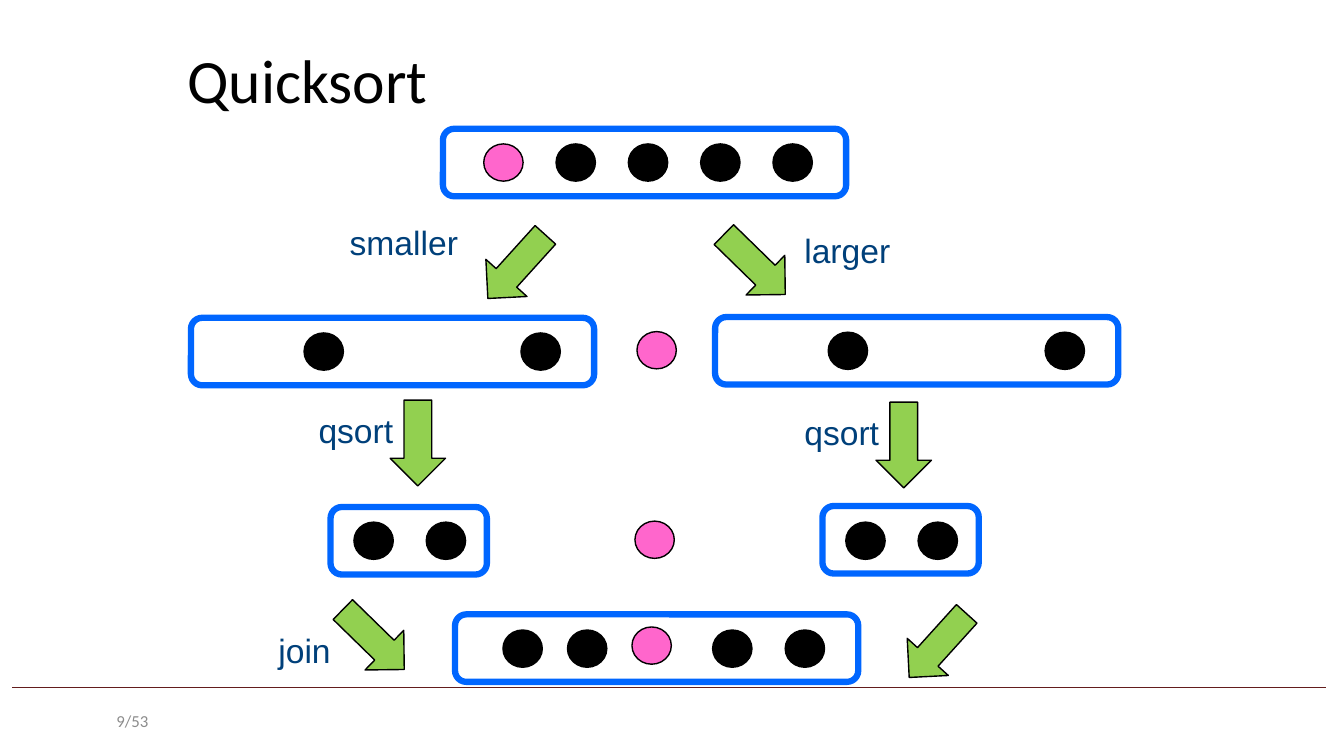
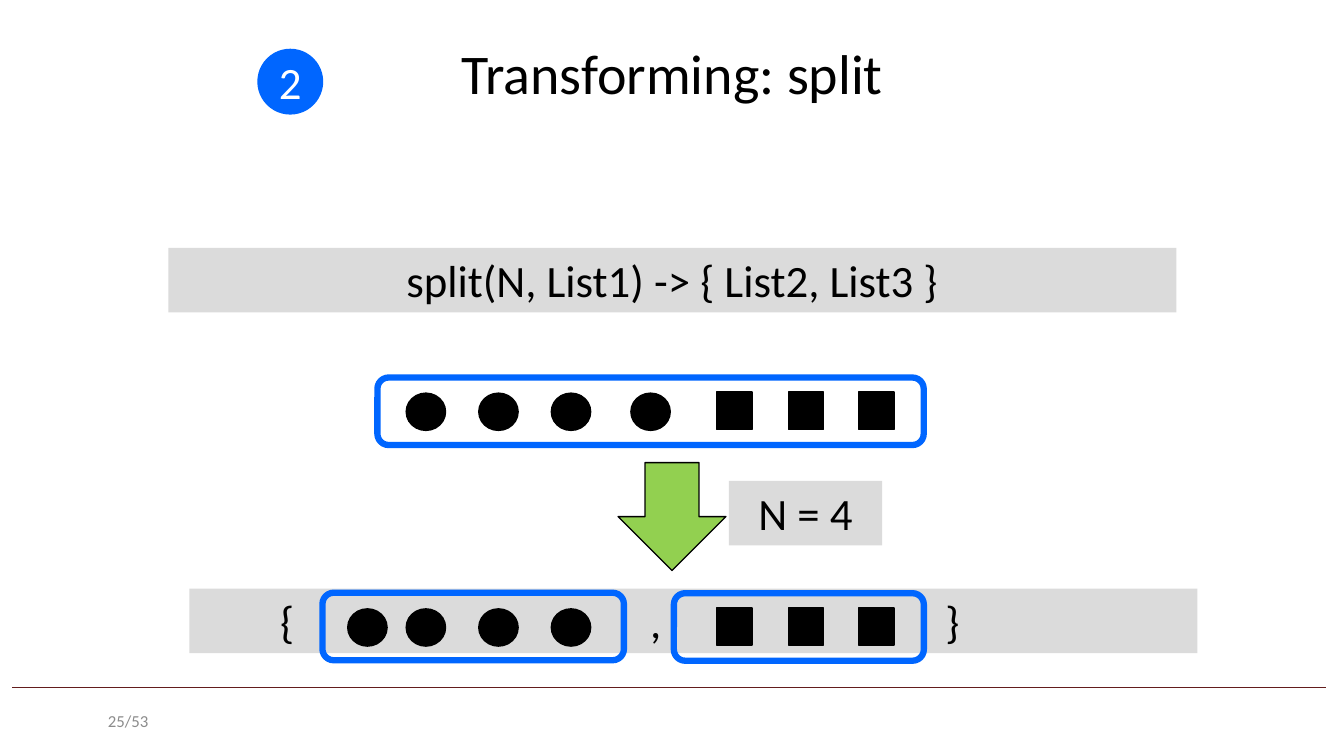
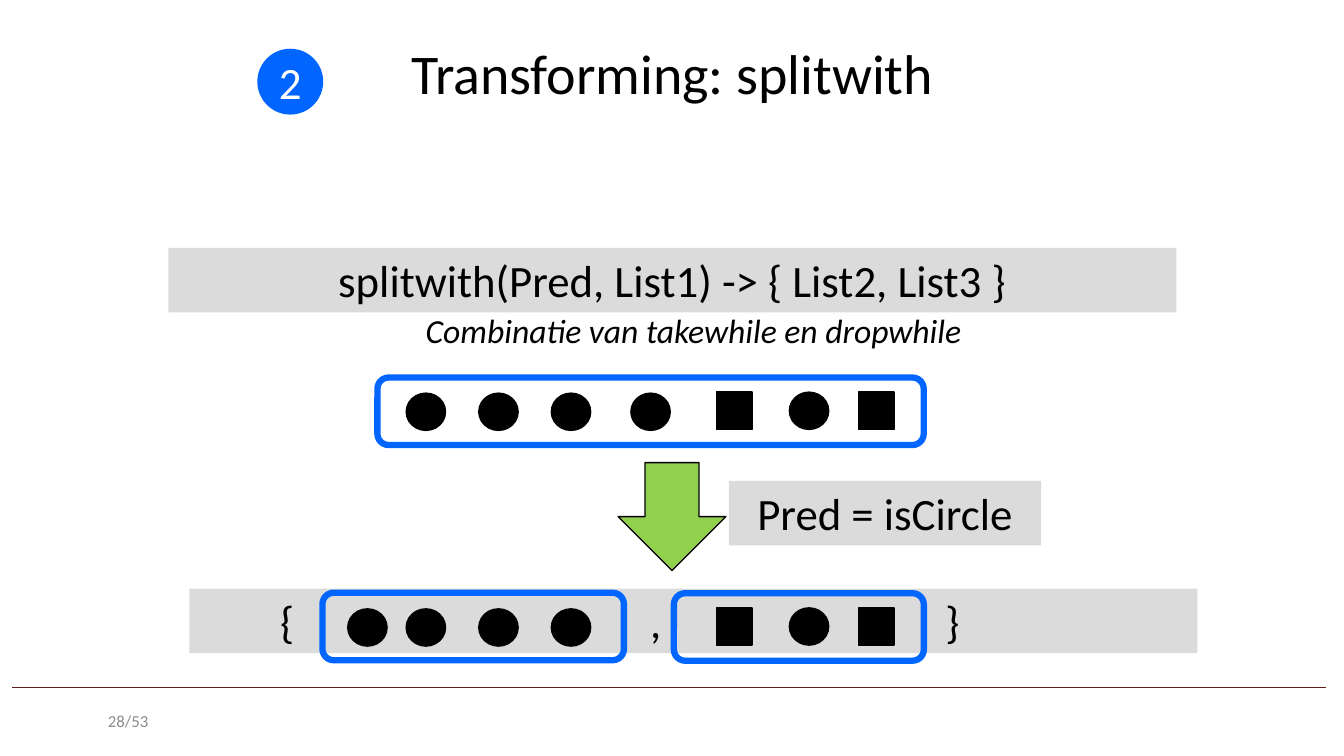
import pptx
import pptx.util
import pptx.dml.color
import pptx.enum.shapes
import pptx.enum.text
from dataclasses import dataclass
from lxml import etree

Pt = pptx.util.Pt
SHAPE = pptx.enum.shapes.MSO_SHAPE
ALIGN = pptx.enum.text.PP_ALIGN
ANCHOR = pptx.enum.text.MSO_ANCHOR


@dataclass(frozen=True)
class Theme:
    black: str = "000000"
    white: str = "FFFFFF"
    blue: str = "0066FF"
    pivot: str = "FF66CC"
    green: str = "92D050"
    bar: str = "DBDBDB"
    label: str = "00407A"
    rule: str = "631D1D"
    footer: str = "8C8C8C"
    body_font: str = "Calibri"
    label_font: str = "Arial"
    headline: int = 44
    title: int = 40
    code: int = 32
    note: int = 24
    small: int = 12
    outline: float = 1
    frame: float = 4.5
    hairline: float = 0.25


THEME = Theme()
WIDTH, HEIGHT = pptx.util.Inches(13.333), pptx.util.Inches(7.5)

# Sizes and places are percentages of the slide's width and height
ITEM_SIZE = {"circle": (2.93, 4.93), "square": (2.63, 4.93)}
ITEM_SHAPE = {"circle": SHAPE.OVAL, "square": SHAPE.RECTANGLE}
LIST_WIDTH, LIST_HEIGHT = 30, 8.93
FIRST_SLOT, SLOT_PITCH = -10.5, 5.38
ARROW = (6.38, 7.33)
DOWN, DOWN_LEFT, DOWN_RIGHT = 90, 132.1, 44.3
BAR_WIDTH, BAR_HEIGHT = 75, 8.53
LABEL_WIDTH, LABEL_HEIGHT = 8.93, 7.2


def color(code):
    return pptx.dml.color.RGBColor.from_string(code)


def frame(left, top, width, height):
    return (round(left * WIDTH / 100), round(top * HEIGHT / 100),
            round(width * WIDTH / 100), round(height * HEIGHT / 100))


def centered(x, y, size):
    return frame(x - size[0] / 2, y - size[1] / 2, *size)


def set_all(target, values):
    for key, value in values.items():
        setattr(target, key, value)


# Text
def write(holder, text, size, ink=THEME.black, font=THEME.body_font,
          align=ALIGN.CENTER, anchor=ANCHOR.TOP, italic=False,
          paragraph_format=None, frame_format=None):
    text_frame = holder.text_frame
    set_all(text_frame, {"word_wrap": True, "vertical_anchor": anchor,
                         "auto_size": pptx.enum.text.MSO_AUTO_SIZE.NONE,
                         **(frame_format or {})})
    paragraph = text_frame.paragraphs[0]
    set_all(paragraph, {"alignment": align, **(paragraph_format or {})})
    run = paragraph.add_run()
    run.text = text
    set_all(run.font, {"size": Pt(size), "name": font, "italic": italic})
    run.font.color.rgb = color(ink)
    return paragraph


def add_text(slide, place, text, size, **text_format):
    return write(slide.shapes.add_textbox(*place), text, size, **text_format)


def add_label(slide, left, top, text, align=ALIGN.RIGHT):
    margins = dict.fromkeys(
        ("margin_left", "margin_top", "margin_right", "margin_bottom"), 0)
    add_text(slide, frame(left, top, LABEL_WIDTH, LABEL_HEIGHT), text, THEME.note,
             ink=THEME.label, font=THEME.label_font, align=align,
             paragraph_format={"space_before": Pt(5.8)}, frame_format=margins)


# Shapes
def add_shape(slide, kind, place, fill=None, line=None, weight=THEME.outline, turn=0):
    shape = slide.shapes.add_shape(kind, *place)
    shape.shadow.inherit = False
    shape.rotation = turn
    if fill:
        shape.fill.solid()
        shape.fill.fore_color.rgb = color(fill)
    else:
        shape.fill.background()
    if line:
        shape.line.color.rgb = color(line)
        shape.line.width = Pt(weight)
    else:
        shape.line.fill.background()
    return shape


def add_item(slide, x, y, kind="circle", fill=THEME.black):
    add_shape(slide, ITEM_SHAPE[kind], centered(x, y, ITEM_SIZE[kind]),
              fill, THEME.black)


def add_list_frame(slide, x, y, width=LIST_WIDTH):
    add_shape(slide, SHAPE.ROUNDED_RECTANGLE, centered(x, y, (width, LIST_HEIGHT)),
              line=THEME.blue, weight=THEME.frame)


def add_slotted_list(slide, x, y, slots, pivot_slot=None):
    add_list_frame(slide, x, y)
    for slot in slots:
        add_item(slide, x + FIRST_SLOT + slot * SLOT_PITCH, y,
                 fill=THEME.pivot if slot == pivot_slot else THEME.black)


def add_arrow(slide, x, y, turn=DOWN, size=ARROW):
    add_shape(slide, SHAPE.RIGHT_ARROW, centered(x, y, size),
              THEME.green, THEME.black, turn=turn)


def add_bar(slide, left, top, text, width=BAR_WIDTH, **text_format):
    bar = add_shape(slide, SHAPE.RECTANGLE, frame(left, top, width, BAR_HEIGHT), THEME.bar)
    return write(bar, text, THEME.code, **text_format)


def set_tab_stops(paragraph, inches):
    properties = paragraph._p.get_or_add_pPr()
    tabs = etree.SubElement(properties, pptx.oxml.ns.qn("a:tabLst"))
    for stop in inches:
        etree.SubElement(tabs, pptx.oxml.ns.qn("a:tab"),
                         pos=str(pptx.util.Inches(stop)), algn="l")


# Title, rule and page number of every slide
def start_slide(deck, title, page, place, size=THEME.title, align=ALIGN.CENTER):
    slide = deck.slides.add_slide(deck.slide_layouts[5])
    heading = slide.shapes.title
    set_all(heading, dict(zip(("left", "top", "width", "height"), place)))
    write(heading, title, size, align=align, anchor=ANCHOR.MIDDLE,
          paragraph_format={"line_spacing": 0.9})

    left, top, length, _ = frame(0.9, 90.93, 97.73, 0)
    rule = slide.shapes.add_connector(pptx.enum.shapes.MSO_CONNECTOR.STRAIGHT,
                                      left, top, left + length, top)
    rule.line.color.rgb = color(THEME.rule)
    rule.line.width = Pt(THEME.hairline)
    etree.SubElement(rule._element.spPr, pptx.oxml.ns.qn("a:effectLst"))

    add_text(slide, frame(6.98, 92.67, 4.8, 5.33), f"{page}/53", THEME.small,
             ink=THEME.footer, align=ALIGN.RIGHT, anchor=ANCHOR.MIDDLE)
    return slide


def quicksort_slide(deck):
    slide = start_slide(deck, "Quicksort", 9, frame(13.2, 1.07, 67.5, 20),
                        THEME.headline, ALIGN.LEFT)

    # Partition around the pivot
    add_slotted_list(slide, 47.96, 21.5, range(5), pivot_slot=0)
    add_text(slide, frame(25.28, 29.33, 12.53, LABEL_HEIGHT), "smaller", THEME.note,
             ink=THEME.label, font=THEME.label_font, align=ALIGN.LEFT,
             paragraph_format={"line_spacing": 0.9, "space_before": Pt(10)})
    add_label(slide, 59.85, 30.4, "larger", ALIGN.LEFT)
    add_arrow(slide, 38.44, 35.27, DOWN_LEFT)
    add_arrow(slide, 56.14, 35, DOWN_RIGHT)

    # Both parts, then sorted
    for x, y in ((29.21, 46.5), (68.21, 46.4)):
        add_slotted_list(slide, x, y, (1, 4))
    for x, y in ((31.09, 58.6), (67.24, 58.87)):
        add_arrow(slide, x, y)
        add_label(slide, x - 10.76, y - 4.33, "qsort")
    for x, y in ((30.41, 71.53), (67.01, 71.4)):
        add_list_frame(slide, x, y, 11.63)
        for side in (-0.5, 0.5):
            add_item(slide, x + 0.08 + side * SLOT_PITCH, 71.53)
    for x, y in ((48.86, 46.33), (48.71, 71.4)):
        add_item(slide, x, y, fill=THEME.pivot)

    # Join
    add_label(slide, 15.68, 83.33, "join")
    add_arrow(slide, 27.79, 84.6, DOWN_RIGHT)
    add_arrow(slide, 69.79, 85.4, DOWN_LEFT)
    add_list_frame(slide, 48.86, 85.73)
    for x in (38.89, 43.69, 54.49, 59.89):
        add_item(slide, x, 85.8)
    add_item(slide, 48.49, 85.4, fill=THEME.pivot)


def split_slide(deck, page, name, signature, condition, condition_width,
                tail, note=None):
    slide = start_slide(deck, f"Transforming: {name}", page,
                        frame(6.9, 5.33, 86.25, 9.6))
    badge = add_shape(slide, SHAPE.OVAL, centered(21.6, 10.8, (4.8, BAR_HEIGHT)),
                      THEME.blue, THEME.blue)
    write(badge, "2", THEME.code, ink=THEME.white, anchor=ANCHOR.MIDDLE)
    add_bar(slide, 12.53, 32.8, signature)
    if note:
        add_text(slide, frame(14.1, 40.4, BAR_WIDTH, 6.67), note, THEME.note, italic=True)

    # Result tuple behind the two lists
    braces = add_bar(slide, 14.1, 77.87, "\t{\t,\t}", align=ALIGN.LEFT)
    set_tab_stops(braces, (0.8, 4.47, 7.4))

    # Input list, condition, output lists
    add_list_frame(slide, 48.41, 54.4, 40.65)
    add_arrow(slide, 50, 68.33, size=(8.03, 14.27))
    add_bar(slide, 54.23, 63.6, condition, condition_width)
    add_list_frame(slide, 35.21, 82.87, 22.43)
    add_list_frame(slide, 59.44, 82.93, 18.6)

    shared = (31.69, 37.09, 42.49)
    for y, head in ((54.47, (*shared, 48.41)), (83, (27.34, *shared))):
        for x in head:
            add_item(slide, x, y)
        for kind, x in tail:
            add_item(slide, x, y - 0.13, kind)


def main():
    deck = pptx.Presentation()
    set_all(deck, {"slide_width": WIDTH, "slide_height": HEIGHT})
    quicksort_slide(deck)
    first, last = ("square", 54.64), ("square", 65.21)
    split_slide(deck, 25, "split", "split(N, List1) -> { List2, List3 }",
                "N = 4", 11.4, (first, ("square", 59.96), last))
    split_slide(deck, 28, "splitwith", "splitwith(Pred, List1) -> { List2, List3 }",
                "Pred = isCircle", 23.25, (first, ("circle", 60.2), last),
                "Combinatie van takewhile en dropwhile")
    deck.save("out.pptx")


main()
